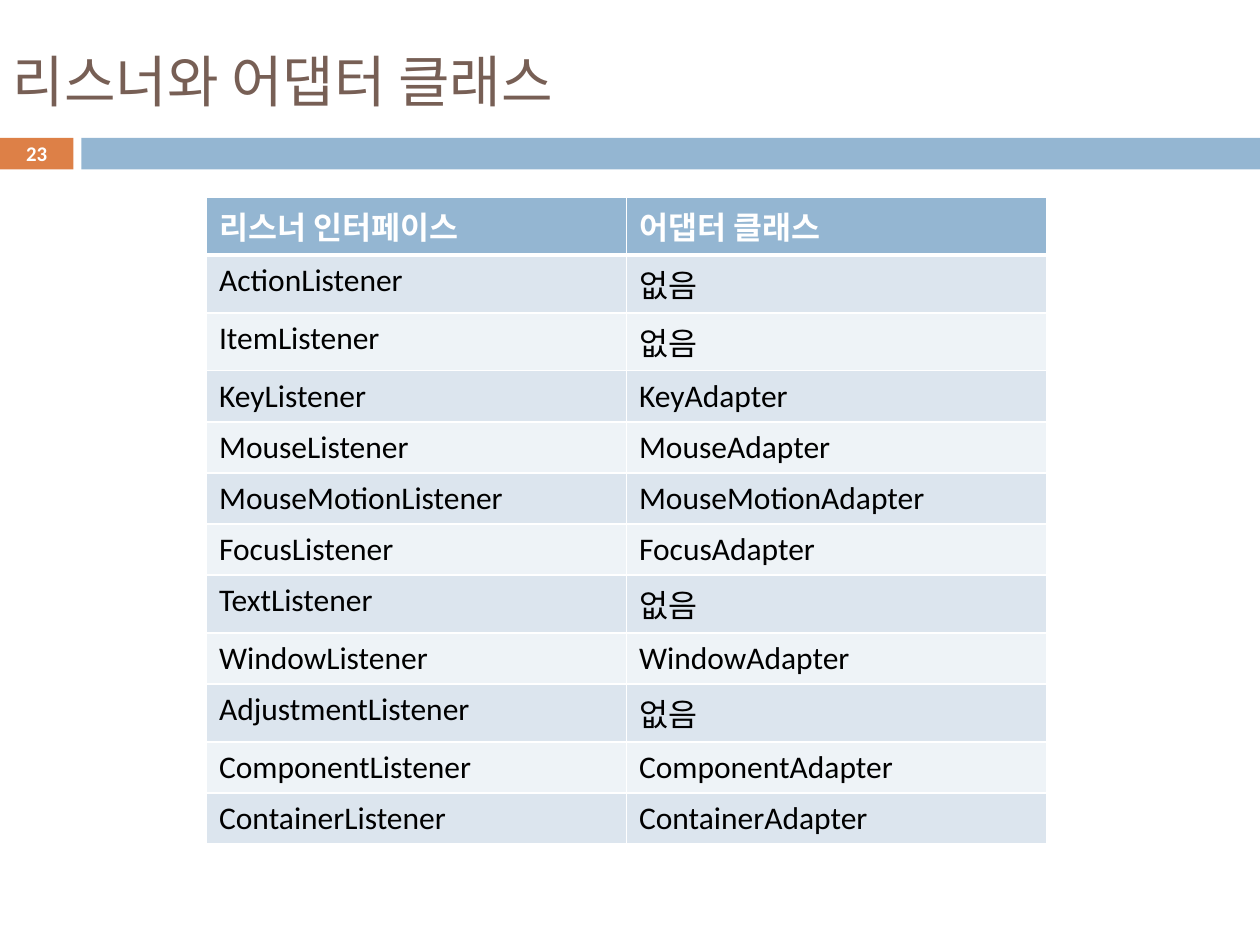
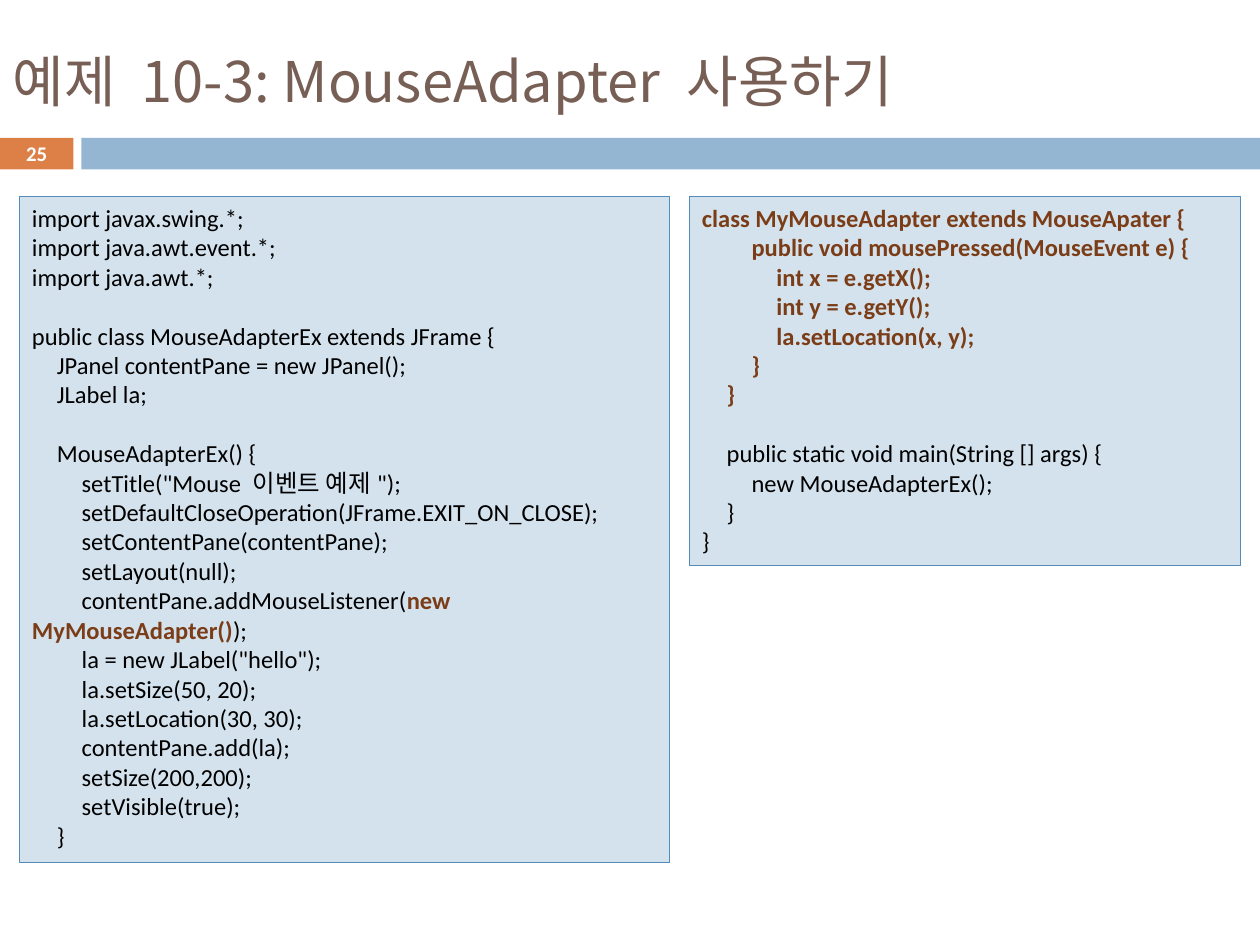
from lxml.etree import SubElement
from pptx import Presentation
from pptx.dml.color import RGBColor
from pptx.enum.shapes import MSO_SHAPE
from pptx.enum.text import MSO_ANCHOR, MSO_AUTO_SIZE, PP_ALIGN
from pptx.oxml.ns import qn
from pptx.util import Pt

BLUE = RGBColor(0x94, 0xB6, 0xD2)
ORANGE = RGBColor(0xDD, 0x80, 0x47)
TITLE_BROWN = RGBColor(0x77, 0x5F, 0x55)
CODE_BROWN = RGBColor(0x7B, 0x3D, 0x17)
CODE_FILL = RGBColor(0xD4, 0xE2, 0xED)
CODE_LINE = RGBColor(0x55, 0x8B, 0xB8)
ROW_DARK = RGBColor(0xDC, 0xE5, 0xEE)
ROW_LIGHT = RGBColor(0xEE, 0xF3, 0xF7)
BLACK = RGBColor(0, 0, 0)
WHITE = RGBColor(0xFF, 0xFF, 0xFF)
BODY_FONT, KOREAN_FONT = "Calibri", "Noto Sans CJK KR"
CODE_PITCH, CODE_INDENT = 16.8, 14.2
LATIN_ROW, KOREAN_ROW = 29.2, 33.1

PAGES = [("23", "리스너와 어댑터 클래스"), ("25", "예제 10-3: MouseAdapter 사용하기")]

LISTENERS = [
    ("리스너 인터페이스", "어댑터 클래스"),
    ("ActionListener", "없음"),
    ("ItemListener", "없음"),
    ("KeyListener", "KeyAdapter"),
    ("MouseListener", "MouseAdapter"),
    ("MouseMotionListener", "MouseMotionAdapter"),
    ("FocusListener", "FocusAdapter"),
    ("TextListener", "없음"),
    ("WindowListener", "WindowAdapter"),
    ("AdjustmentListener", "없음"),
    ("ComponentListener", "ComponentAdapter"),
    ("ContainerListener", "ContainerAdapter"),
]

# In the code, ** switches emphasis on and off.
FRAME_CODE = """\
import javax.swing.*;
import java.awt.event.*;
import java.awt.*;

public class MouseAdapterEx extends JFrame {
    JPanel contentPane = new JPanel();
    JLabel la;

    MouseAdapterEx() {
        setTitle("Mouse 이벤트 예제");
        setDefaultCloseOperation(JFrame.EXIT_ON_CLOSE);
        setContentPane(contentPane);
        setLayout(null);
        contentPane.addMouseListener(**new MyMouseAdapter()**);
        la = new JLabel("hello");
        la.setSize(50, 20);
        la.setLocation(30, 30);
        contentPane.add(la);
        setSize(200,200);
        setVisible(true);
    }"""

ADAPTER_CODE = """\
**class MyMouseAdapter extends MouseApater {
        public void mousePressed(MouseEvent e) {
            int x = e.getX();
            int y = e.getY();
            la.setLocation(x, y);
        }
    }**

    public static void main(String [] args) {
        new MouseAdapterEx();
    }
}"""


def style(run, size, color, bold=False, latin=BODY_FONT):
    run.font.size = Pt(size)
    run.font.bold = bold
    run.font.color.rgb = color
    run.font.name = latin
    SubElement(run.font._element, qn("a:ea"), typeface=KOREAN_FONT)


def add_box(slide, left, top, width, height, fill):
    box = slide.shapes.add_shape(
        MSO_SHAPE.RECTANGLE, Pt(left), Pt(top), Pt(width), Pt(height))
    box.shadow.inherit = False
    box.fill.solid()
    box.fill.fore_color.rgb = fill
    box.line.fill.background()
    return box


prs = Presentation()
prs.slide_width, prs.slide_height = Pt(720), Pt(540)

# Title, band and page number
slides = []
for number, heading in PAGES:
    slide = prs.slides.add_slide(prs.slide_layouts[5])
    slides.append(slide)
    add_box(slide, 0, 78.8, 42, 18, ORANGE)
    add_box(slide, 46.5, 78.8, 673.5, 18, BLUE)

    title = slide.shapes.title
    title.left, title.top, title.width, title.height = Pt(0), Pt(18), Pt(720), Pt(55.5)
    title.text_frame.text = heading
    title.text_frame.auto_size = MSO_AUTO_SIZE.NONE
    title.text_frame.vertical_anchor = MSO_ANCHOR.MIDDLE
    title.text_frame.paragraphs[0].alignment = PP_ALIGN.LEFT
    style(title.text_frame.paragraphs[0].runs[0], 32, TITLE_BROWN, latin=KOREAN_FONT)

    page = slide.shapes.add_textbox(Pt(0), Pt(78.2), Pt(42), Pt(19)).text_frame
    page.word_wrap = True
    page.vertical_anchor = MSO_ANCHOR.MIDDLE
    page.margin_top = page.margin_bottom = 0
    page.text = number
    page.paragraphs[0].alignment = PP_ALIGN.CENTER
    style(page.paragraphs[0].runs[0], 11.9, WHITE, bold=True)

table_slide, code_slide = slides

# Listener table: rows holding Korean text are taller
row_heights = [LATIN_ROW if adapter.isascii() else KOREAN_ROW for _, adapter in LISTENERS]
listener_table = table_slide.shapes.add_table(
    len(LISTENERS), 2, Pt(118), Pt(112.6), Pt(480), Pt(sum(row_heights))).table
for r, names in enumerate(LISTENERS):
    listener_table.rows[r].height = Pt(row_heights[r])
    header = r == 0
    fill = BLUE if header else ROW_DARK if r % 2 else ROW_LIGHT
    for c, name in enumerate(names):
        cell = listener_table.cell(r, c)
        cell.text = name
        style(cell.text_frame.paragraphs[0].runs[0], 18, WHITE if header else BLACK, header)
        for side in ("L", "R", "T", "B"):
            thick = (side == "B" and header) or (side == "T" and r == 1)
            border = SubElement(cell._tc.get_or_add_tcPr(), qn(f"a:ln{side}"),
                                w=str(Pt(3 if thick else 1)))
            SubElement(SubElement(border, qn("a:solidFill")), qn("a:srgbClr"), val=str(WHITE))
        cell.fill.solid()
        cell.fill.fore_color.rgb = fill

# Code panels
for left, width, height, code in [(11.2, 371.5, 380.4, FRAME_CODE),
                                  (394, 315, 210.8, ADAPTER_CODE)]:
    panel = add_box(code_slide, left, 112.4, width, height, CODE_FILL)
    panel.line.color.rgb = CODE_LINE
    panel.line.width = Pt(0.75)
    frame = panel.text_frame
    frame.word_wrap = True
    frame.vertical_anchor = MSO_ANCHOR.TOP
    paragraph = frame.paragraphs[0]
    emphasis = gap = False
    for i, line in enumerate(code.splitlines()):
        if not line:
            gap = True
            continue
        if i:
            paragraph = frame.add_paragraph()
        paragraph.alignment = PP_ALIGN.LEFT
        paragraph.line_spacing = Pt(CODE_PITCH)
        paragraph.space_before = Pt(CODE_PITCH if gap else 0)
        gap = False
        statement = line.lstrip()
        level = (len(line) - len(statement)) // 4
        properties = paragraph._p.get_or_add_pPr()
        properties.set("marL", "0")
        properties.set("indent", str(Pt(CODE_INDENT * level)))
        for part, text in enumerate(statement.split("**")):
            if part:
                emphasis = not emphasis
            if text:
                run = paragraph.add_run()
                run.text = text
                style(run, 14, CODE_BROWN if emphasis else BLACK, emphasis)

prs.save("out.pptx")
